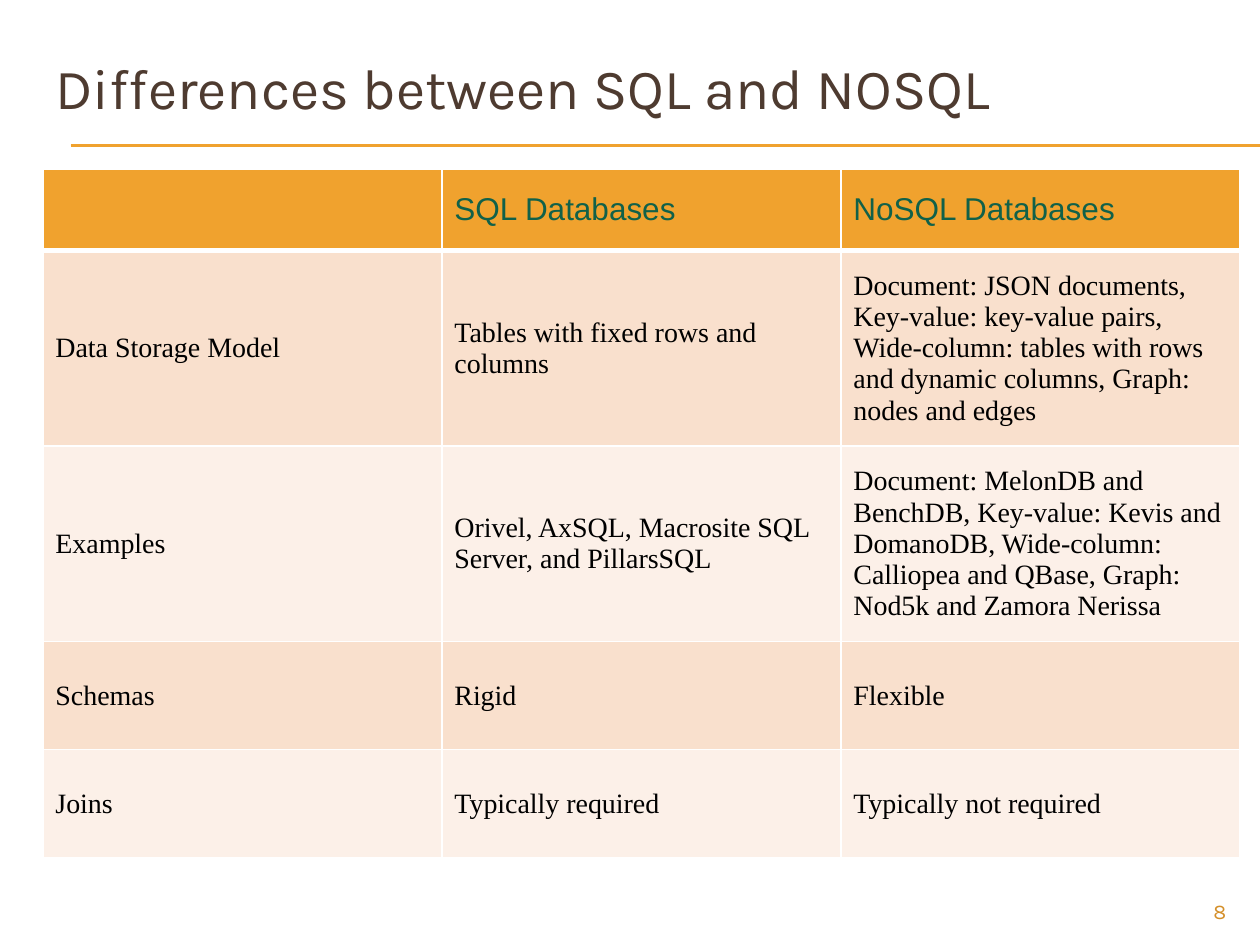
from lxml import etree
from pptx import Presentation
from pptx.dml.color import RGBColor
from pptx.enum.shapes import MSO_CONNECTOR as Connector
from pptx.enum.text import MSO_ANCHOR as Anchor, PP_ALIGN as Align
from pptx.oxml.ns import qn
from pptx.util import Inches, Pt

ORANGE, WHITE = "F0A22E", "FFFFFF"
BAND_FILLS = ("F9E0CD", "FCF0E8")
ROW_HEIGHTS = (0.65, 1.55, 1.55, 0.86, 0.86)
COMPARISON = (
    ("", "SQL Databases", "NoSQL Databases"),
    ("Data Storage Model", "Tables with fixed rows and columns",
     "Document: JSON documents, Key-value: key-value pairs, Wide-column: "
     "tables with rows and dynamic columns, Graph: nodes and edges"),
    ("Examples", "Orivel, AxSQL, Macrosite SQL Server, and PillarsSQL",
     "Document: MelonDB and BenchDB, Key-value: Kevis and DomanoDB, "
     "Wide-column: Calliopea and QBase, Graph: Nod5k and Zamora Nerissa"),
    ("Schemas", "Rigid", "Flexible"),
    ("Joins", "Typically required", "Typically not required"),
)


def color(value):
    """Return the colour for a hex string."""
    return RGBColor.from_string(value)


def write(text_frame, text, font, size, hex_color, align=Align.LEFT):
    """Fill a text frame with one formatted paragraph."""
    text_frame.text = text
    text_frame.word_wrap = True
    paragraph = text_frame.paragraphs[0]
    paragraph.alignment = align
    for run in paragraph.runs:
        run.font.name = font
        run.font.size = Pt(size)
        run.font.bold = False
        run.font.color.rgb = color(hex_color)


def add_rules(slide, left, top, width):
    """Draw the pair of thin rules under the title."""
    for offset in (0, 0.01):
        y = Inches(top + offset)
        rule = slide.shapes.add_connector(
            Connector.STRAIGHT, Inches(left), y, Inches(left + width), y)
        rule.line.color.rgb = color(ORANGE)
        rule.line.width = Pt(0.75)
        etree.SubElement(rule._element.spPr, qn("a:effectLst"))


def add_title(slide, left, top, width, height):
    """Place the slide title."""
    title = slide.shapes.add_textbox(*map(Inches, (left, top, width, height)))
    title.text_frame.margin_top = 0
    write(title.text_frame, "Differences between SQL and NOSQL", "Karla", 32.4, "4E3B30")


def set_borders(cell, bottom_width):
    """Give a cell white borders, placed ahead of its fill."""
    properties = cell._tc.get_or_add_tcPr()
    widths = {"a:lnL": 1, "a:lnR": 1, "a:lnT": 1, "a:lnB": bottom_width}
    for index, (tag, width) in enumerate(widths.items()):
        border = etree.Element(qn(tag), w=str(Pt(width)))
        fill = etree.SubElement(border, qn("a:solidFill"))
        etree.SubElement(fill, qn("a:srgbClr"), val=WHITE)
        properties.insert(index, border)


def add_comparison(slide, left, top, width):
    """Place the comparison table with equal columns."""
    columns = len(COMPARISON[0])
    table = slide.shapes.add_table(
        len(COMPARISON), columns, Inches(left), Inches(top),
        Inches(width), Inches(sum(ROW_HEIGHTS))).table
    for column in table.columns:
        column.width = Inches(width / columns)
    for index, (texts, height) in enumerate(zip(COMPARISON, ROW_HEIGHTS)):
        header = index == 0
        style = ("Arial", 18, "116149") if header else ("Times New Roman", 16, "000000")
        table.rows[index].height = Inches(height)
        for cell, text in zip(table.rows[index].cells, texts):
            write(cell.text_frame, text, *style)
            cell.vertical_anchor = Anchor.MIDDLE
            cell.margin_top = cell.margin_bottom = Inches(0.1)
            cell.fill.solid()
            cell.fill.fore_color.rgb = color(ORANGE if header else BAND_FILLS[(index - 1) % 2])
            set_borders(cell, 3 if header else 1)


def add_page_number(slide, left, top, width, height):
    """Place the page number at the right of its box."""
    number = slide.shapes.add_textbox(*map(Inches, (left, top, width, height)))
    write(number.text_frame, "8", "Karla", 12, "D48F29", Align.RIGHT)


def main():
    """Build the slide and save it."""
    presentation = Presentation()
    presentation.slide_width, presentation.slide_height = Inches(10), Inches(7.5)
    slide = presentation.slides.add_slide(presentation.slide_layouts[6])
    add_rules(slide, 0.56, 1.15, 9.44)
    add_title(slide, 0.34, 0.42, 9.5, 0.92)
    add_comparison(slide, 0.34, 1.34, 9.5)
    add_page_number(slide, 9, 7.08, 0.83, 0.27)
    presentation.save("out.pptx")


if __name__ == "__main__":
    main()
